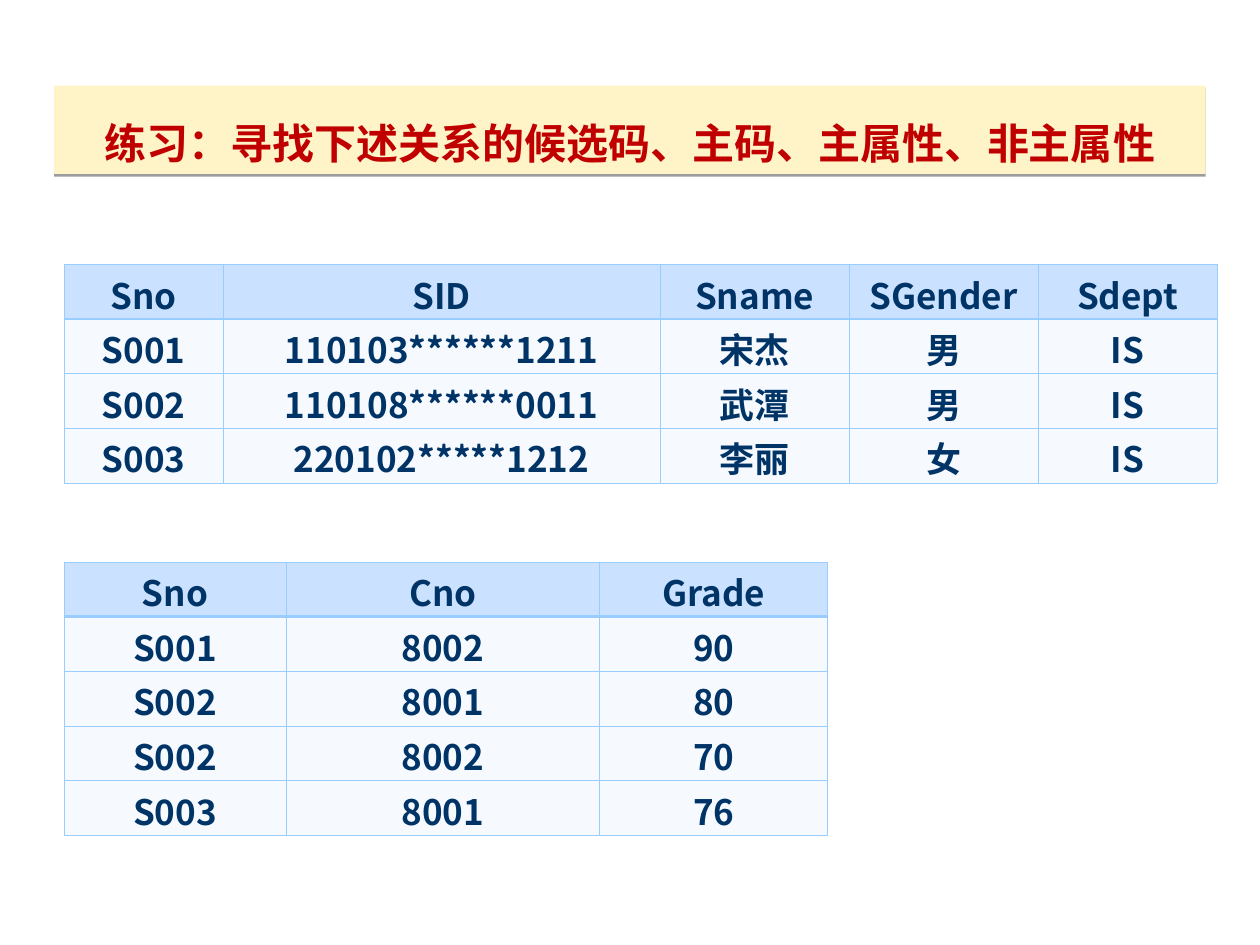
from lxml.etree import SubElement
from pptx import Presentation
from pptx.dml.color import RGBColor
from pptx.enum.shapes import MSO_SHAPE
from pptx.enum.text import MSO_ANCHOR, MSO_AUTO_SIZE, PP_ALIGN
from pptx.oxml.ns import qn
from pptx.util import Inches, Pt

FONT = "Noto Sans CJK SC"
COLORS = {
    "banner": "FFF4C8",
    "title": "C00000",
    "text": "003366",
    "header": "CAE2FF",
    "body": "F6FAFF",
    "border": "99CCFF",
    "shadow": "000000",
}
STUDENTS = [
    ["Sno", "SID", "Sname", "SGender", "Sdept"],
    ["S001", "110103******1211", "宋杰", "男", "IS"],
    ["S002", "110108******0011", "武潭", "男", "IS"],
    ["S003", "220102*****1212", "李丽", "女", "IS"],
]
GRADES = [
    ["Sno", "Cno", "Grade"],
    ["S001", "8002", "90"],
    ["S002", "8001", "80"],
    ["S002", "8002", "70"],
    ["S003", "8001", "76"],
]


def paint(fill, color):
    fill.solid()
    fill.fore_color.rgb = RGBColor.from_string(COLORS[color])


def add_text(para, text, size, color):
    para.alignment = PP_ALIGN.CENTER
    span = para.add_run()
    span.text = text
    span.font.size = Pt(size)
    span.font.bold = True
    span.font.color.rgb = RGBColor.from_string(COLORS[color])
    span.font.name = FONT
    SubElement(span.font._element, qn("a:ea"), typeface=FONT)


def add_color(parent, color):
    return SubElement(parent, qn("a:srgbClr"), val=COLORS[color])


def set_borders(cell, row):
    props = cell._tc.get_or_add_tcPr()
    heavy_side = {0: "B", 1: "T"}.get(row)
    for index, side in enumerate("LRTB"):
        width = Pt(1.47 if side == heavy_side else 0.45)
        line = props.makeelement(qn(f"a:ln{side}"), {"w": str(width)})
        add_color(SubElement(line, qn("a:solidFill")), "border")
        props.insert(index, line)


def add_banner(page, left, top, width, height, text):
    box = page.shapes.add_shape(
        MSO_SHAPE.RECTANGLE, Inches(left), Inches(top), Inches(width), Inches(height))
    paint(box.fill, "banner")
    box.line.fill.background()
    box.shadow.inherit = False
    effects = box._element.spPr.find(qn("a:effectLst"))
    shadow = SubElement(effects, qn("a:outerShdw"), blurRad="0",
                        dist=str(Pt(1.6)), dir="5400000", algn="t", rotWithShape="0")
    SubElement(add_color(shadow, "shadow"), qn("a:alpha"), val="38000")
    frame = box.text_frame
    frame.word_wrap = True
    frame.auto_size = MSO_AUTO_SIZE.SHAPE_TO_FIT_TEXT
    frame.vertical_anchor = MSO_ANCHOR.TOP
    para = frame.paragraphs[0]
    para.line_spacing = 1.5
    add_text(para, text, 24, "title")


def add_relation(page, left, top, height, widths, rows):
    table = page.shapes.add_table(
        len(rows), len(widths), Inches(left), Inches(top),
        Inches(sum(widths)), Inches(height)).table
    for column, width in zip(table.columns, widths):
        column.width = Inches(width)
    for row, values in enumerate(rows):
        table.rows[row].height = Inches(height / len(rows))
        for column, value in enumerate(values):
            cell = table.cell(row, column)
            cell.margin_top = Inches(0.03)
            cell.margin_bottom = 0
            paint(cell.fill, "body" if row else "header")
            set_borders(cell, row)
            add_text(cell.text_frame.paragraphs[0], value, 20, "text")


def main():
    deck = Presentation()
    deck.slide_width = Inches(10)
    deck.slide_height = Inches(7.5)
    page = deck.slides.add_slide(deck.slide_layouts[6])
    add_relation(page, 0.51, 2.1, 1.73, [1.26, 3.47, 1.5, 1.5, 1.42], STUDENTS)
    add_relation(page, 0.51, 4.46, 2.17, [1.76, 2.49, 1.81], GRADES)
    add_banner(page, 0.43, 0.68, 9.14, 0.7,
               "练习：寻找下述关系的候选码、主码、主属性、非主属性")
    deck.save("out.pptx")


if __name__ == "__main__":
    main()
